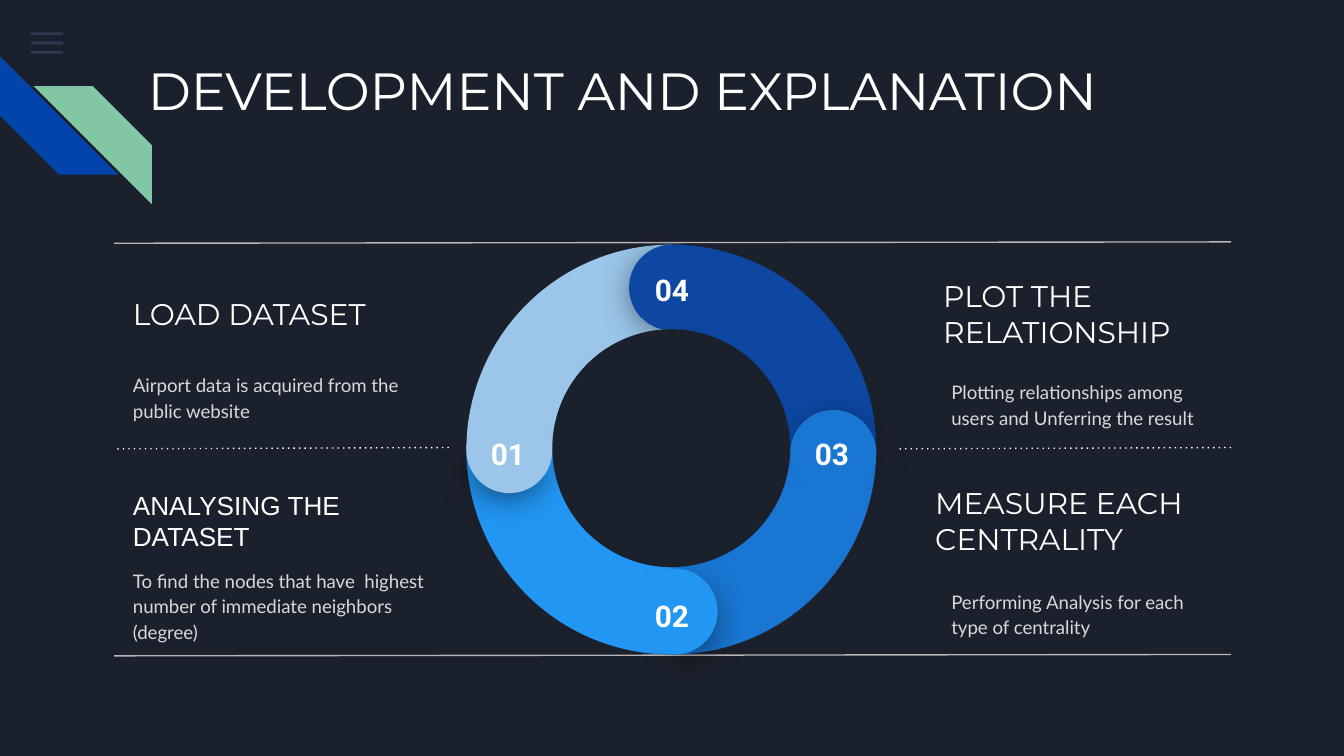
from dataclasses import dataclass

import pptx
import pptx.dml.color
import pptx.enum.dml
import pptx.enum.shapes
import pptx.enum.text
import pptx.oxml
import pptx.oxml.ns
import pptx.util
from pptx.util import Inches

SHAPE = pptx.enum.shapes.MSO_SHAPE
ANCHOR = pptx.enum.text.MSO_ANCHOR
ALIGN = pptx.enum.text.PP_ALIGN
BACKGROUND, WHITE, BODY_GRAY, RULE_GRAY = "1B212C", "FFFFFF", "D9D9D9", "B7B7B7"
RING_BOX = (3.47, 1.82, 3.05, 3.05)
CAP_SIZE, CAP_SHADOW_SIZE = 0.64, 0.57


@dataclass
class Topic:
    heading: str
    heading_box: tuple[float, float, float, float]
    body: str
    body_box: tuple[float, float, float, float]
    font: str = "Montserrat"
    size: int = 16


@dataclass
class Segment:
    """One quarter of the ring, with the centres of its rounded end and label."""
    number: str
    color: str
    cap: tuple[float, float]
    cap_shadow: tuple[float, float]
    label: tuple[float, float]
    shadow_angles: tuple[float, float] = (189.54, 83.81)


@dataclass
class Rule:
    left: float
    right: float
    top: float
    color: str
    dotted: bool = False


TOPICS = [
    Topic("LOAD DATASET", (0.89, 2.09, 2.03, 0.49),
          "Airport data is acquired from the public website", (0.89, 2.57, 2.18, 0.76)),
    Topic("ANALYSING THE DATASET", (0.89, 3.63, 2.49, 0.49),
          "To find the nodes that have  highest number of immediate neighbors (degree)",
          (0.89, 4.12, 2.38, 0.76), "Arial", 14),
    Topic("PLOT THE RELATIONSHIP", (6.92, 2.09, 2.93, 0.49),
          "Plotting relationships among users and Unferring the result",
          (6.98, 2.62, 2.18, 0.76)),
    Topic("MEASURE EACH CENTRALITY", (6.86, 3.63, 2.86, 0.49),
          "Performing Analysis for each type of centrality", (6.98, 4.18, 2.18, 0.76)),
]
# Counterclockwise from the upper left quarter.
SEGMENTS = [
    Segment("01", "9BC5E9", (3.79, 3.35), (3.77, 3.36), (3.78, 3.29)),
    Segment("02", "2196F3", (5.02, 4.55), (5.03, 4.57), (5, 4.49)),
    Segment("03", "1976D2", (6.2, 3.37), (6.22, 3.36), (6.19, 3.29), (196.87, 77.71)),
    Segment("04", "0D47A1", (5, 2.14), (4.99, 2.12), (5, 2.07)),
]
RULES = [
    Rule(0.85, 9.16, 1.8, RULE_GRAY),
    Rule(0.85, 3.34, 3.33, WHITE, dotted=True),
    Rule(6.67, 9.16, 3.33, WHITE, dotted=True),
    Rule(0.85, 9.16, 4.87, RULE_GRAY),
]


def rgb(color: str) -> pptx.dml.color.RGBColor:
    return pptx.dml.color.RGBColor.from_string(color)


def centered(center: tuple[float, float], width: float, height: float) -> tuple:
    return center[0] - width / 2, center[1] - height / 2, width, height


def add_filled(slide, kind, box: tuple, color: str, rotation: float = 0,
               adjustments: tuple = ()):
    shape = slide.shapes.add_shape(kind, *map(Inches, box))
    shape.shadow.inherit = False
    shape.fill.solid()
    shape.fill.fore_color.rgb = rgb(color)
    shape.line.fill.background()
    shape.rotation = rotation % 360
    for index, value in enumerate(adjustments):
        shape.adjustments[index] = value
    return shape


def add_soft_shadow(shape) -> None:
    effects = shape._element.spPr.find(pptx.oxml.ns.qn("a:effectLst"))
    effects.append(pptx.oxml.parse_xml(
        f'<a:outerShdw {pptx.oxml.ns.nsdecls("a")} blurRad="228600" dist="50800" '
        'dir="5400000" algn="bl" rotWithShape="0"><a:srgbClr val="000000">'
        '<a:alpha val="55000"/></a:srgbClr></a:outerShdw>'))


def write_text(shape, text: str, font: str, size: int, color: str, anchor,
               bold: bool = False, align=ALIGN.LEFT):
    frame = shape.text_frame
    frame.word_wrap = True
    frame.auto_size = pptx.enum.text.MSO_AUTO_SIZE.NONE
    frame.vertical_anchor = anchor
    frame.margin_left = frame.margin_right = Inches(0.1)
    frame.margin_top = frame.margin_bottom = Inches(0.1)
    paragraph = frame.paragraphs[0]
    paragraph.alignment = align
    run = paragraph.add_run()
    run.text = text
    run.font.name = font
    run.font.size = pptx.util.Pt(size)
    run.font.bold = bold
    run.font.color.rgb = rgb(color)
    return paragraph


def add_title(slide) -> None:
    title = slide.shapes.title
    title.left, title.top, title.width, title.height = map(Inches, (1, 0.33, 7.7, 1))
    write_text(title, "DEVELOPMENT AND EXPLANATION", "Montserrat", 28, WHITE, ANCHOR.TOP)


def add_corner_decoration(slide) -> None:
    for row in range(3):
        bar = add_filled(slide, SHAPE.RECTANGLE, (0.23, 0.24 + 0.07 * row, 0.24, 0.02),
                         "55688B")
        color = bar._element.spPr.find(".//" + pptx.oxml.ns.qn("a:srgbClr"))
        color.append(pptx.oxml.parse_xml(
            f'<a:alpha {pptx.oxml.ns.nsdecls("a")} val="36000"/>'))
    add_filled(slide, SHAPE.DIAGONAL_STRIPE, (0, 0.42, 0.88, 0.88), "0145AC", 270, (0.5,))
    green = add_filled(slide, SHAPE.DIAGONAL_STRIPE, (0.25, 0.64, 0.88, 0.88), "82C7A5",
                       0, (0.5,))
    green._element.spPr.xfrm.set("flipH", "1")


def add_topic(slide, topic: Topic) -> None:
    heading = slide.shapes.add_textbox(*map(Inches, topic.heading_box))
    write_text(heading, topic.heading, topic.font, topic.size, WHITE, ANCHOR.MIDDLE)
    body = slide.shapes.add_textbox(*map(Inches, topic.body_box))
    paragraph = write_text(body, topic.body, "Lato", 10, BODY_GRAY, ANCHOR.MIDDLE)
    paragraph.line_spacing = 1.15
    paragraph.space_after = pptx.util.Pt(16)


def add_rule(slide, rule: Rule) -> None:
    connector = slide.shapes.add_connector(
        pptx.enum.shapes.MSO_CONNECTOR.STRAIGHT, Inches(rule.right), Inches(rule.top),
        Inches(rule.left), Inches(rule.top + 0.01))
    connector.line.color.rgb = rgb(rule.color)
    connector.line.width = pptx.util.Pt(0.75)
    if rule.dotted:
        connector.line.dash_style = pptx.enum.dml.MSO_LINE.ROUND_DOT
        dash = connector._element.spPr.find(".//" + pptx.oxml.ns.qn("a:prstDash"))
        dash.set("val", "dot")
    connector._element.spPr.append(
        pptx.oxml.parse_xml(f'<a:effectLst {pptx.oxml.ns.nsdecls("a")}/>'))


def add_ring(slide, segments: list[Segment]) -> None:
    for index, segment in enumerate(segments):
        add_filled(slide, SHAPE.PIE, RING_BOX, segment.color, -90 * index,
                   (107.96, 162.01))
    for index, segment in enumerate(segments):
        turn = -90 * index
        shadowed = add_filled(
            slide, SHAPE.PIE, centered(segment.cap_shadow, CAP_SHADOW_SIZE, CAP_SHADOW_SIZE),
            segment.color, 39.5 + turn, segment.shadow_angles)
        add_soft_shadow(shadowed)
        add_filled(slide, SHAPE.CHORD, centered(segment.cap, CAP_SIZE, CAP_SIZE),
                   segment.color, 4.1 + turn, (25.01, 18.12))
        label = slide.shapes.add_textbox(*map(Inches, centered(segment.label, 0.56, 0.29)))
        write_text(label, segment.number, "Roboto", 16, WHITE, ANCHOR.TOP, True, ALIGN.CENTER)
    add_filled(slide, SHAPE.OVAL, (4.11, 2.45, 1.77, 1.77), BACKGROUND)


def main() -> None:
    presentation = pptx.Presentation()
    presentation.slide_width = Inches(10)
    presentation.slide_height = presentation.slide_width * 9 // 16
    slide = presentation.slides.add_slide(presentation.slide_layouts[5])
    slide.background.fill.solid()
    slide.background.fill.fore_color.rgb = rgb(BACKGROUND)
    add_corner_decoration(slide)
    add_title(slide)
    for topic in TOPICS:
        add_topic(slide, topic)
    for rule in RULES:
        add_rule(slide, rule)
    add_ring(slide, SEGMENTS)
    presentation.save("out.pptx")


if __name__ == "__main__":
    main()
